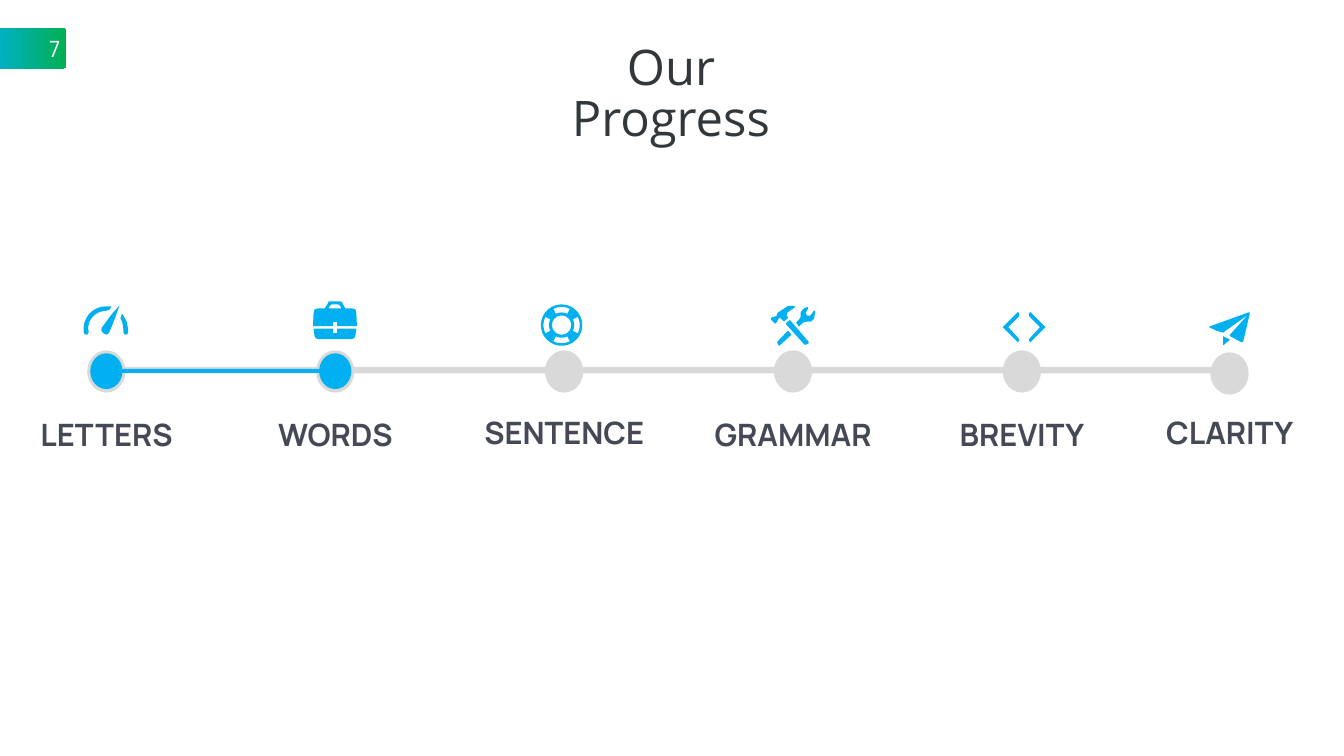
from math import cos, radians, sin

from pptx import Presentation
from pptx.dml.color import RGBColor
from pptx.enum.shapes import MSO_SHAPE
from pptx.enum.text import MSO_ANCHOR, PP_ALIGN
from pptx.util import Inches, Pt

BLUE, GREEN, GREY = "00B0F0", "00B050", "D9D9D9"


def rgb(color):
    return RGBColor.from_string(color)


def arc(cx, cy, r, start, stop, steps=16):
    angles = [radians(start + (stop - start) * i / steps) for i in range(steps + 1)]
    return [(cx + r * cos(a), cy + r * sin(a)) for a in angles]


# Icon outlines, in hundredths of an inch from the icon's corner
GAUGE = [
    [(36, 45), (35, 51), (40, 57), (46, 59), (51, 54), (62, 27), (71, 1), (56, 18)],
    [(0, 54), *arc(44, 47, 44, 180, 270), (55, 3), (52, 9),
     *arc(44, 47, 35, 270, 180), (10, 54), (8, 58), (5, 59), (2, 58)],
    [(76, 17), (73, 26), (77, 36), (79, 49), (79, 54), (80, 58), (83, 59),
     (87, 58), (88, 54), (88, 47), (85, 32)],
]
BRIEFCASE = [
    [(40, 41), (48, 41), (48, 49), (87, 49), (86, 24), (84, 16), (78, 14), (64, 14),
     (59, 5), (57, 1), (53, 0), (34, 0), (30, 1), (29, 5), (23, 14), (9, 14),
     (3, 16), (1, 24), (0, 49), (40, 49)],
    [(33, 9), (37, 6), (50, 6), (54, 9), (56, 14), (31, 14)],
    [(48, 63), (40, 63), (40, 54), (1, 54), (3, 68), (5, 73), (11, 75), (76, 75),
     (82, 73), (84, 68), (86, 54), (48, 54)],
]
LIFEBUOY = [arc(41, 41, 41, 0, 360, 48), arc(41, 41, 19, 0, 360, 32)] + [
    arc(41, 41, 36, a - 27, a + 27) + arc(41, 41, 25, a + 27, a - 27)
    for a in range(0, 360, 90)
]
TOOLS = [
    [(14, 27), (17, 24), (20, 25), (25, 30), (27, 30), (34, 24), (34, 22), (31, 19),
     (33, 13), (49, 2), (45, 0), (34, 0), (19, 10), (13, 14), (12, 19), (9, 21),
     (3, 22), (0, 25), (0, 27), (6, 33), (9, 35), (13, 31)],
    [(38, 28), (31, 33), (30, 36), (67, 77), (70, 77), (75, 74), (75, 71)],
    [(88, 11), (86, 9), (81, 16), (77, 20), (72, 19), (69, 14), (74, 5), (74, 3),
     (72, 2), (64, 6), (59, 13), (59, 22), (56, 27), (50, 33), (56, 41), (64, 33),
     (72, 31), (80, 31), (86, 25)],
    [(13, 71), (13, 74), (16, 79), (19, 77), (41, 57), (34, 49)],
]
CHEVRON = [(32, 2), (30, 0), (28, 2), (0, 30), (28, 58), (30, 60), (32, 58),
           (33, 55), (32, 53), (11, 30), (32, 9), (33, 5)]
CODE = [CHEVRON, [(85 - x, y) for x, y in CHEVRON]]
PLANE = [
    [(78, 1), (1, 29), (0, 30), (17, 38), (28, 41), (77, 6), (41, 46), (42, 48),
     (64, 60), (68, 59), (81, 4), (81, 1)],
    [(28, 65), (29, 66), (42, 55), (28, 48)],
]

# Label, node centre, node top, label top, icon outline, icon left, icon top
STEP = 4.54
FIRST = 2.11
STAGES = [
    ("LETTERS", FIRST, 6.95, 8.12, GAUGE, 1.66, 6.05),
    ("WORDS", FIRST + STEP, 6.95, 8.12, BRIEFCASE, 6.21, 5.98),
    ("SENTENCE", FIRST + 2 * STEP, 6.95, 8.07, LIFEBUOY, 10.73, 6.04),
    ("GRAMMAR", FIRST + 3 * STEP, 6.95, 8.12, TOOLS, 15.29, 6.07),
    ("BREVITY", FIRST + 4 * STEP, 6.95, 8.12, CODE, 19.89, 6.19),
    ("CLARITY", 24.39, 6.99, 8.07, PLANE, 23.98, 6.19),
]
DONE = 2


def paint(sp, color):
    sp.fill.solid()
    sp.fill.fore_color.rgb = rgb(color)
    sp.line.fill.background()
    sp.shadow.inherit = False


def add_shape(s, kind, box, color):
    sp = s.shapes.add_shape(kind, *map(Inches, box))
    paint(sp, color)
    return sp


def style(p, text, size, font, color, align, bold=False):
    p.text = text
    p.alignment = align
    p.font.size, p.font.name, p.font.bold = Pt(size), font, bold
    p.font.color.rgb = rgb(color)


def add_icon(s, outlines, left, top):
    builder = s.shapes.build_freeform(0, 0, scale=1.0)
    for outline in outlines:
        points = [(Inches(x / 100), Inches(y / 100)) for x, y in outline]
        builder.move_to(*points[0])
        builder.add_line_segments(points[1:], close=True)
    paint(builder.convert_to_shape(Inches(left), Inches(top)), BLUE)


def add_label(s, text, box):
    tf = s.shapes.add_textbox(*map(Inches, box)).text_frame
    tf.word_wrap = True
    tf.margin_left = tf.margin_right = Inches(0.27)
    tf.margin_top = tf.margin_bottom = Inches(0.13)
    style(tf.paragraphs[0], text, 44, "Manrope", "444955", PP_ALIGN.CENTER, True)


def add_title(s, box):
    title = s.shapes.title
    title.left, title.top, title.width, title.height = map(Inches, box)
    tf = title.text_frame
    tf.word_wrap = True
    tf.vertical_anchor = MSO_ANCHOR.TOP
    tf.margin_top = Inches(0.17)
    p = tf.paragraphs[0]
    style(p, "Our Progress", 70, "Open Sans", "31373B", PP_ALIGN.CENTER)
    p.line_spacing = 0.87


def add_page_tab(s, box):
    sp = add_shape(s, MSO_SHAPE.ROUNDED_RECTANGLE, box, BLUE)
    sp.adjustments[0] = 0.11
    sp.fill.gradient()
    sp.fill.gradient_angle = 0
    for stop, color in zip(sp.fill.gradient_stops, (BLUE, GREEN)):
        stop.color.rgb = rgb(color)
    tf = sp.text_frame
    tf.vertical_anchor = MSO_ANCHOR.MIDDLE
    style(tf.paragraphs[0], "7", 32, "Manrope", "FFFFFF", PP_ALIGN.RIGHT)


def add_timeline(s):
    # Track and nodes
    add_shape(s, MSO_SHAPE.RECTANGLE, (2.37, 7.28, 21.91, 0.13), GREY)
    for _, cx, top, *_ in STAGES:
        add_shape(s, MSO_SHAPE.OVAL, (cx - 0.38, top, 0.76, 0.84), GREY)
    # Completed part
    add_shape(s, MSO_SHAPE.RECTANGLE, (2.29, 7.32, 4.41, 0.08), BLUE)
    for _, cx, top, *_ in STAGES[:DONE]:
        add_shape(s, MSO_SHAPE.OVAL, (cx - 0.32, top + 0.06, 0.64, 0.71), BLUE)
    # Icons and labels
    for text, cx, _, label_top, icon, left, top in STAGES:
        add_icon(s, icon, left, top)
        add_label(s, text, (cx - 1.96, label_top, 3.93, 1.05))


def main():
    prs = Presentation()
    prs.slide_width, prs.slide_height = Inches(26.66), Inches(15)
    s = prs.slides.add_slide(prs.slide_layouts[5])
    add_timeline(s)
    add_title(s, (10.42, 0.71, 5.78, 1.28))
    add_page_tab(s, (-0.51, 0.56, 1.83, 0.8))
    prs.save("out.pptx")


if __name__ == "__main__":
    main()
